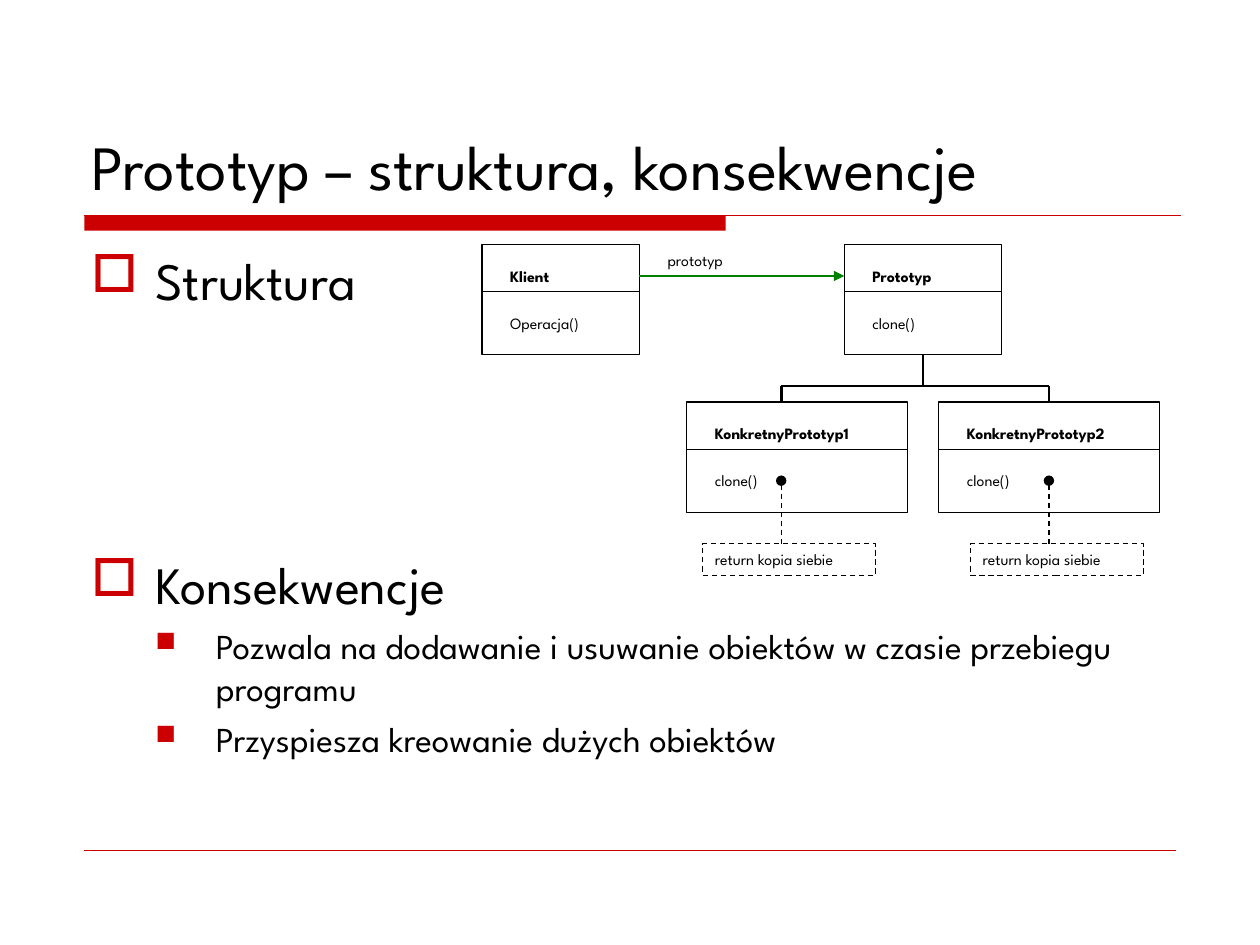
from pptx import Presentation
from pptx.dml.color import RGBColor
from pptx.enum.dml import MSO_LINE_DASH_STYLE as Dash
from pptx.enum.shapes import MSO_CONNECTOR as Connector, MSO_SHAPE as Shape
from pptx.enum.text import MSO_ANCHOR as Anchor, PP_ALIGN as Align
from pptx.oxml.ns import qn
from pptx.util import Pt
from lxml.etree import SubElement

COLORS = {"text": "000000", "accent": "CC0000", "paper": "FFFFFF", "arrow": "008000"}
FONT = "League Spartan"
CLASS_HEIGHT = 63
LABEL_HEIGHT = 18
TOP_ROW, BOTTOM_ROW = 139.7, 229.7
# bullet, bullet size in percent, text size, left margin, hanging indent
LEVELS = [("□", 100, 30, 36.72, 36.72), ("■", 80, 20, 71.28, 34.56)]


def color(name):
    return RGBColor.from_string(COLORS[name])


class SlideBuilder:
    """Draws elements on one slide in a common style; lengths are points."""

    def __init__(self, slide):
        self.slide = slide
        self.shapes = slide.shapes

    def add_run(self, paragraph, text, size, bold=False):
        run = paragraph.add_run()
        run.text = text
        run.font.name = FONT
        run.font.size = Pt(size)
        run.font.bold = bold
        run.font.color.rgb = color("text")

    def title(self, text, left, top, width, height):
        title = self.shapes.title
        title.left, title.top = Pt(left), Pt(top)
        title.width, title.height = Pt(width), Pt(height)
        frame = title.text_frame
        frame.word_wrap = True
        frame.vertical_anchor = Anchor.BOTTOM
        paragraph = frame.paragraphs[0]
        paragraph.alignment = Align.LEFT
        self.add_run(paragraph, text, 36)

    def bullets(self, items, left, top, width, height):
        """Items are (level, space before, text)."""
        box = self.shapes.add_textbox(Pt(left), Pt(top), Pt(width), Pt(height))
        frame = box.text_frame
        frame.word_wrap = True
        for index, (level, space, text) in enumerate(items):
            paragraph = frame.add_paragraph() if index else frame.paragraphs[0]
            bullet, percent, size, margin, hanging = LEVELS[level]
            paragraph.level = level
            paragraph.space_before = Pt(space)
            properties = paragraph._p.get_or_add_pPr()
            properties.set("marL", str(Pt(margin)))
            properties.set("indent", str(-Pt(hanging)))
            bullet_color = SubElement(properties, qn("a:buClr"))
            SubElement(bullet_color, qn("a:srgbClr"), val=COLORS["accent"])
            SubElement(properties, qn("a:buSzPct"), val=str(percent * 1000))
            SubElement(properties, qn("a:buChar"), char=bullet)
            self.add_run(paragraph, text, size)

    def rectangle(self, left, top, width, height, fill="paper", line="text", dashed=False):
        shape = self.shapes.add_shape(
            Shape.RECTANGLE, Pt(left), Pt(top), Pt(width), Pt(height))
        shape.shadow.inherit = False
        shape.fill.solid()
        shape.fill.fore_color.rgb = color(fill)
        if line:
            shape.line.color.rgb = color(line)
            shape.line.width = Pt(0.75)
            if dashed:
                shape.line.dash_style = Dash.DASH
        else:
            shape.line.fill.background()
        return shape

    def label(self, text, left, top, width, bold=False, line=None):
        shape = self.rectangle(left, top, width, LABEL_HEIGHT, line=line, dashed=True)
        frame = shape.text_frame
        frame.word_wrap = True
        frame.vertical_anchor = Anchor.TOP
        paragraph = frame.paragraphs[0]
        paragraph.alignment = Align.LEFT
        self.add_run(paragraph, text, 9, bold)

    def line(self, start, end, width=0.75, stroke="text", dashed=False, head=None, tail=None):
        connector = self.shapes.add_connector(
            Connector.STRAIGHT, *(Pt(value) for value in (*start, *end)))
        connector.line.color.rgb = color(stroke)
        connector.line.width = Pt(width)
        if dashed:
            connector.line.dash_style = Dash.DASH
        outline = connector.line._get_or_add_ln()
        for tag, kind in (("a:headEnd", head), ("a:tailEnd", tail)):
            if kind:
                SubElement(outline, qn(tag), type=kind)
        SubElement(connector._element.spPr, qn("a:effectLst"))
        return connector

    def class_box(self, name, method, left, top, width, name_width):
        box = self.rectangle(left, top, width, CLASS_HEIGHT)
        self.label(name, left + 9, top + 9, name_width, bold=True)
        self.label(method, left + 9, top + 36, 72)
        self.line((left, top + 27), (left + width, top + 27))
        return box


def main():
    presentation = Presentation()
    presentation.slide_width, presentation.slide_height = Pt(720), Pt(540)
    builder = SlideBuilder(presentation.slides.add_slide(presentation.slide_layouts[5]))

    builder.rectangle(48.24, 123.1, 366.5, 8.64, fill="accent", line=None)
    builder.line((48.24, 123.1), (674.6, 123.1), stroke="accent")
    builder.line((48.24, 486), (671.8, 486), 0.25, "accent")
    builder.title("Prototyp – struktura, konsekwencje", 45, 24, 630, 95.7)
    builder.bullets([
        (0, 7.5, "Struktura"),
        (0, 138, "Konsekwencje"),
        (1, 5, "Pozwala na dodawanie i usuwanie obiektów w czasie przebiegu programu"),
        (1, 5, "Przyspiesza kreowanie dużych obiektów"),
    ], 45, 138.2, 630, 336)

    builder.class_box("Klient", "Operacja()", 275.4, TOP_ROW, 90, 45)
    prototype = builder.class_box("Prototyp", "clone()", 482.4, TOP_ROW, 90, 63)
    builder.label("prototyp", 374.4, TOP_ROW, 81)
    builder.line((365.4, TOP_ROW + 18), (482.4, TOP_ROW + 18), 1.5, "arrow", tail="triangle")

    # name, box left, axis of the branch and note line, note left
    concrete_classes = [
        ("KonkretnyPrototyp1", 392.4, 446.4, 401.4),
        ("KonkretnyPrototyp2", 536.4, 599.4, 554.4),
    ]
    branch_top = BOTTOM_ROW - 9
    note_top = BOTTOM_ROW + 81
    for name, left, axis, note_left in concrete_classes:
        box = builder.class_box(name, "clone()", left, BOTTOM_ROW, 126, 108)
        branch = builder.line((axis, branch_top), (axis, BOTTOM_ROW), 1.5)
        if axis == left + 63:
            branch.end_connect(box, 0)
        builder.label("return kopia siebie", note_left, note_top, 99, line="text")
        builder.line((axis, BOTTOM_ROW + 45), (axis, note_top), dashed=True, head="oval")

    stem = builder.line((527.4, TOP_ROW + CLASS_HEIGHT), (527.4, branch_top), 1.5)
    stem.begin_connect(prototype, 2)
    builder.line((446.4, branch_top), (599.4, branch_top), 1.5)

    presentation.save("out.pptx")


if __name__ == "__main__":
    main()
